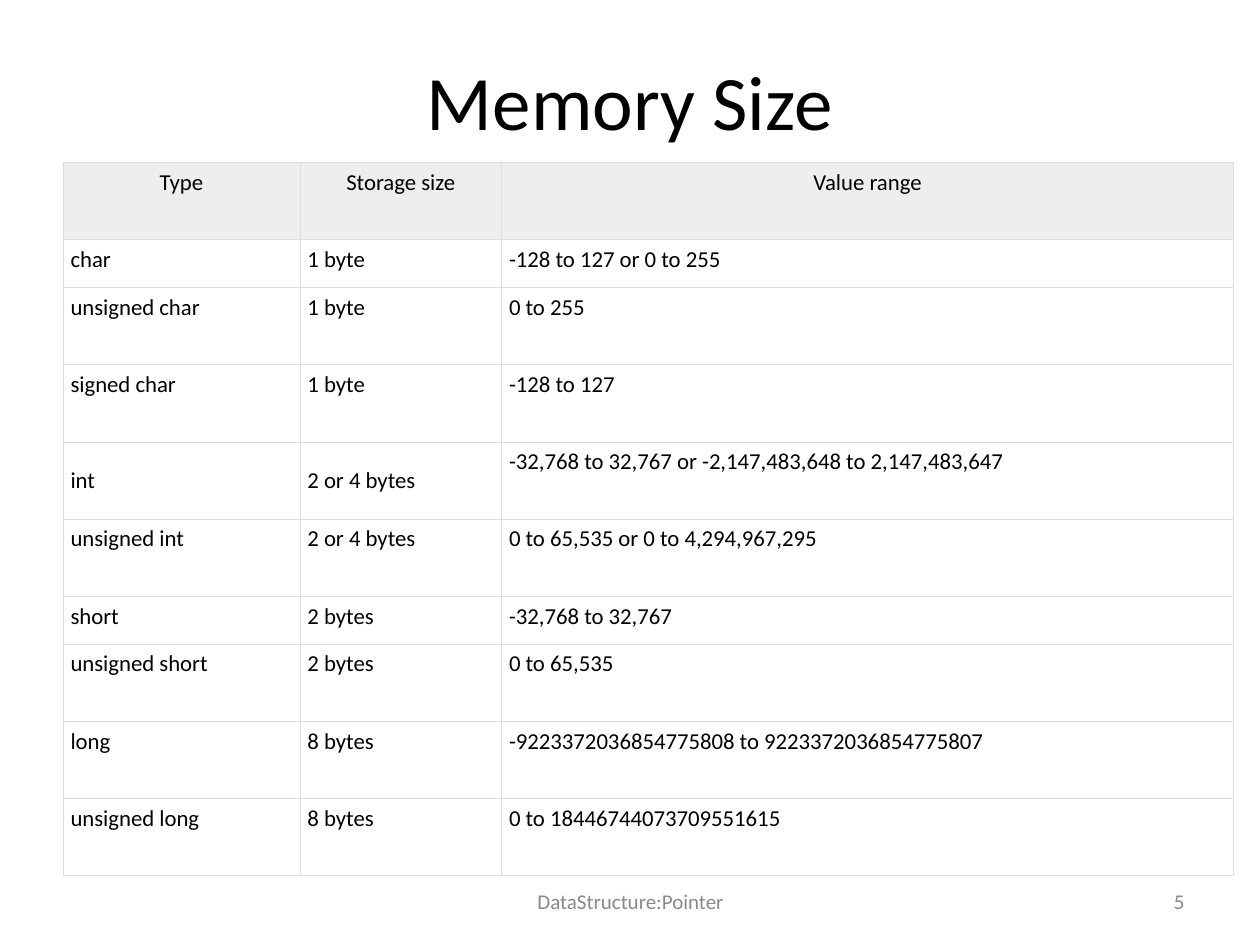
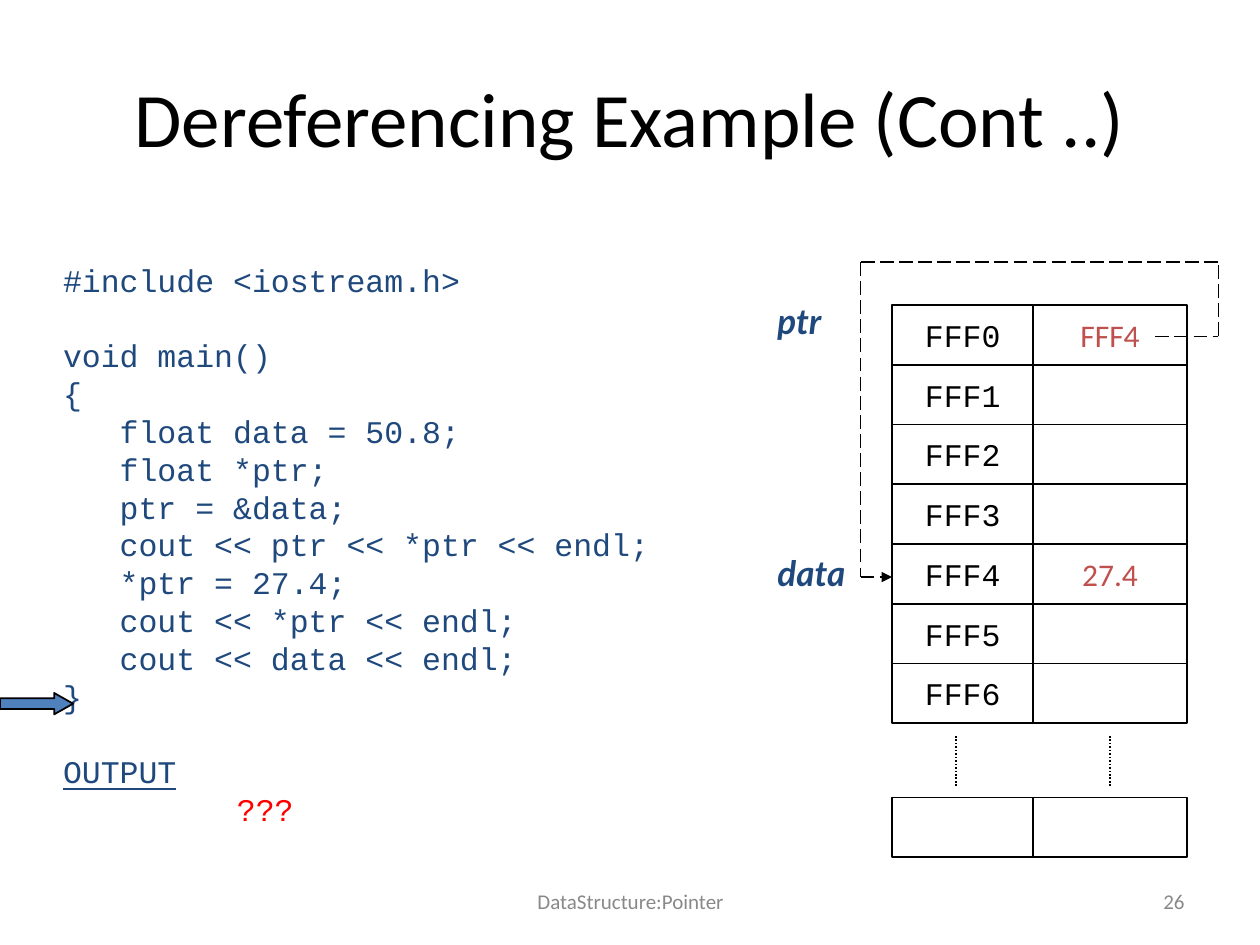
from dataclasses import dataclass

from lxml import etree
from pptx import Presentation
from pptx.dml.color import RGBColor
from pptx.enum import dml, shapes, text
from pptx.oxml import ns
from pptx.util import Inches, Pt

HUES = {
    "black": "000000",
    "grey": "898989",
    "head": "EEEEEE",
    "rule": "DDDDDD",
    "navy": "1F497D",
    "blue": "4F81BD",
    "brick": "C0504D",
    "red": "FF0000",
}
SANS, MONO, LATO = "Calibri", "Courier New", "Lato"
MID, TOP = text.MSO_ANCHOR.MIDDLE, text.MSO_ANCHOR.TOP
LEFT, MIDDLE, RIGHT = text.PP_ALIGN.LEFT, text.PP_ALIGN.CENTER, text.PP_ALIGN.RIGHT

TYPES = [
    ("Type", "Storage size", "Value range"),
    ("char", "1 byte", "-128 to 127 or 0 to 255"),
    ("unsigned char", "1 byte", "0 to 255"),
    ("signed char", "1 byte", "-128 to 127"),
    ("int", "2 or 4 bytes", "-32,768 to 32,767 or -2,147,483,648 to 2,147,483,647"),
    ("unsigned int", "2 or 4 bytes", "0 to 65,535 or 0 to 4,294,967,295"),
    ("short", "2 bytes", "-32,768 to 32,767"),
    ("unsigned short", "2 bytes", "0 to 65,535"),
    ("long", "8 bytes", "-9223372036854775808 to 9223372036854775807"),
    ("unsigned long", "8 bytes", "0 to 18446744073709551615"),
]
WIDTHS = (1.88, 1.6, 5.81)
SHORT = ("char", "short")
LOW = 0.38
TALL = (5.66 - len(SHORT) * LOW) / (len(TYPES) - len(SHORT))

CODE = """#include <iostream.h>

void main()
{
   float data = 50.8;
   float *ptr;
   ptr = &data;
   cout << ptr << *ptr << endl;
   *ptr = 27.4;
   cout << *ptr << endl;
   cout << data << endl;
}

OUTPUT
???"""
PITCH = Pt(21.6)

STORE = {"FFF0": "FFF4", "FFF4": "27.4"}
ADDR_X, ADDR_W = 7.08, 1.12
VAL_X, VAL_W = 8.2, 1.22
MEM_TOP, MEM_ROWS = 2.42, 7
STEP = 3.32 / MEM_ROWS
ROUTE = [(9.17, 2.67), (9.67, 2.67), (9.67, 2.08),
         (6.83, 2.08), (6.83, 4.58), (7.08, 4.58)]


@dataclass(frozen=True)
class Box:
    x: float
    y: float
    w: float
    h: float

    def emu(self) -> tuple:
        return tuple(Inches(v) for v in (self.x, self.y, self.w, self.h))


@dataclass(frozen=True)
class Style:
    size: float
    face: str = SANS
    hue: str = "black"
    align: text.PP_ALIGN = LEFT
    bold: bool = False
    slant: bool = False


TITLE = Style(44, align=MIDDLE)
FOOT = Style(12, hue="grey", align=MIDDLE)
PAGE = Style(12, hue="grey", align=RIGHT)
HEAD = Style(13, align=MIDDLE)
BODY = Style(13)
ADDR = Style(18, MONO, align=MIDDLE)
VALUE = Style(18, hue="brick", align=MIDDLE)
LABEL = Style(20, LATO, "navy", bold=True, slant=True)
LIST = Style(18, MONO, "navy")


def rgb(hue: str) -> RGBColor:
    return RGBColor.from_string(HUES[hue])


def dress(para, style: Style) -> None:
    para.alignment = style.align
    font = para.font
    font.name, font.size = style.face, Pt(style.size)
    font.bold, font.italic = style.bold, style.slant
    font.color.rgb = rgb(style.hue)


def write(frame, words: str, style: Style) -> None:
    frame.text = words
    for para in frame.paragraphs:
        dress(para, style)


def inset(item, side: float, edge: float = 0.05) -> None:
    """Set the margins of a text frame or a table cell."""
    item.margin_left = item.margin_right = Inches(side)
    item.margin_top = item.margin_bottom = Inches(edge)


def add_text(slide, box: Box, words: str, style: Style, side: float = 0, anchor=TOP):
    frame = slide.shapes.add_textbox(*box.emu()).text_frame
    frame.word_wrap = True
    frame.vertical_anchor = anchor
    inset(frame, side)
    write(frame, words, style)
    return frame


def add_slide(deck, title: str, high: float, page: int):
    """Add a slide with its title, footer and page number."""
    slide = deck.slides.add_slide(deck.slide_layouts[5])
    head = slide.shapes.title
    head.left, head.top, head.width, head.height = Box(0.5, 0.3, 9, high).emu()
    head.text_frame.auto_size = text.MSO_AUTO_SIZE.NONE
    head.text_frame.vertical_anchor = MID
    write(head.text_frame, title, TITLE)
    add_text(slide, Box(3.42, 6.95, 3.17, 0.4), "DataStructure:Pointer", FOOT, 0.1, MID)
    add_text(slide, Box(7.17, 6.95, 2.33, 0.4), str(page), PAGE, 0.1, MID)
    return slide


def add_shape(slide, kind, box: Box, fill: str = ""):
    shape = slide.shapes.add_shape(kind, *box.emu())
    shape.shadow.inherit = False
    if fill:
        shape.fill.solid()
        shape.fill.fore_color.rgb = rgb(fill)
    else:
        shape.fill.background()
    shape.line.color.rgb = rgb("black")
    shape.line.width = Pt(1)
    return shape


def add_cell(slide, box: Box, words: str = "", style: Style = ADDR) -> None:
    """Add one memory cell, with text if there is any."""
    shape = add_shape(slide, shapes.MSO_SHAPE.RECTANGLE, box)
    if words:
        frame = shape.text_frame
        frame.word_wrap = False
        frame.vertical_anchor = MID
        inset(frame, 0.1)
        write(frame, words, style)


def add_line(tree, start: tuple, end: tuple, dash, arrow: bool = False) -> None:
    ends = [Inches(v) for v in (*start, *end)]
    link = tree.add_connector(shapes.MSO_CONNECTOR.STRAIGHT, *ends)
    link.line.color.rgb = rgb("black")
    link.line.width = Pt(1)
    link.line.dash_style = dash
    props = link._element.spPr
    if arrow:
        tip = etree.SubElement(props.find(ns.qn("a:ln")), ns.qn("a:tailEnd"))
        tip.set("type", "triangle")
    etree.SubElement(props, ns.qn("a:effectLst"))


def rule_cell(cell, hue: str, width: float) -> None:
    """Draw all four borders of a table cell."""
    props = cell._tc.get_or_add_tcPr()
    for side in ("lnL", "lnR", "lnT", "lnB"):
        edge = etree.SubElement(props, ns.qn(f"a:{side}"), w=str(Pt(width)))
        fill = etree.SubElement(edge, ns.qn("a:solidFill"))
        etree.SubElement(fill, ns.qn("a:srgbClr"), val=HUES[hue])


def add_types(slide) -> None:
    box = Box(0.5, 1.29, sum(WIDTHS), 5.66)
    grid = slide.shapes.add_table(len(TYPES), len(WIDTHS), *box.emu()).table
    grid.first_row = grid.horz_banding = False
    for col, wide in zip(grid.columns, WIDTHS):
        col.width = Inches(wide)
    for r, row in enumerate(TYPES):
        grid.rows[r].height = Inches(LOW if row[0] in SHORT else TALL)
        for c, words in enumerate(row):
            cell = grid.cell(r, c)
            inset(cell, 0.06)
            cell.vertical_anchor = MID if row[0] == "int" and c < 2 else TOP
            rule_cell(cell, "rule", 0.34)
            if r == 0:
                cell.fill.solid()
                cell.fill.fore_color.rgb = rgb("head")
            else:
                cell.fill.background()
            write(cell.text_frame, words, BODY if r else HEAD)


def add_code(slide) -> None:
    lines = CODE.split("\n")
    shown = [n for n, line in enumerate(lines) if line]
    frame = add_text(slide, Box(0.5, 2, 5.58, 5.08),
                     "\n".join(lines[n] for n in shown), LIST)
    frame.margin_top = Inches(0.07)
    for n, para in zip(shown, frame.paragraphs):
        para.line_spacing = PITCH
        if n and not lines[n - 1]:
            para.space_before = PITCH
    out, mark = frame.paragraphs[-2:]
    out.font.underline = True
    mark.font.color.rgb = rgb("red")
    mark._p.get_or_add_pPr().set("marL", str(Inches(1.38)))


def add_memory(slide) -> None:
    for n in range(MEM_ROWS):
        y, name = MEM_TOP + n * STEP, f"FFF{n}"
        add_cell(slide, Box(VAL_X, y, VAL_W, STEP), STORE.get(name, ""), VALUE)
        add_cell(slide, Box(ADDR_X, y, ADDR_W, STEP), name)
    for x, wide, mid in ((VAL_X, VAL_W, 8.81), (ADDR_X, ADDR_W, 7.59)):
        add_cell(slide, Box(x, 6.33, wide, STEP))
        add_line(slide.shapes, (mid, 5.84), (mid, 6.25), dml.MSO_LINE.ROUND_DOT)
    for name, y in (("ptr", 2.33), ("data", 4.33)):
        add_text(slide, Box(6.17, y, 0.75, 0.44), name, LABEL)
    group = slide.shapes.add_group_shape().shapes
    for start, end in zip(ROUTE, ROUTE[1:]):
        add_line(group, start, end, dml.MSO_LINE.LONG_DASH, end == ROUTE[-1])


def main() -> None:
    deck = Presentation()
    deck.slide_width, deck.slide_height = Inches(10), Inches(7.5)
    add_types(add_slide(deck, "Memory Size", 0.99, 5))
    slide = add_slide(deck, "Dereferencing Example (Cont ..)", 1.25, 26)
    add_memory(slide)
    add_code(slide)
    arrow = add_shape(slide, shapes.MSO_SHAPE.RIGHT_ARROW,
                      Box(0, 5.5, 0.58, 0.17), "blue")
    arrow.adjustments[1] = 0.88
    deck.save("out.pptx")


if __name__ == "__main__":
    main()
